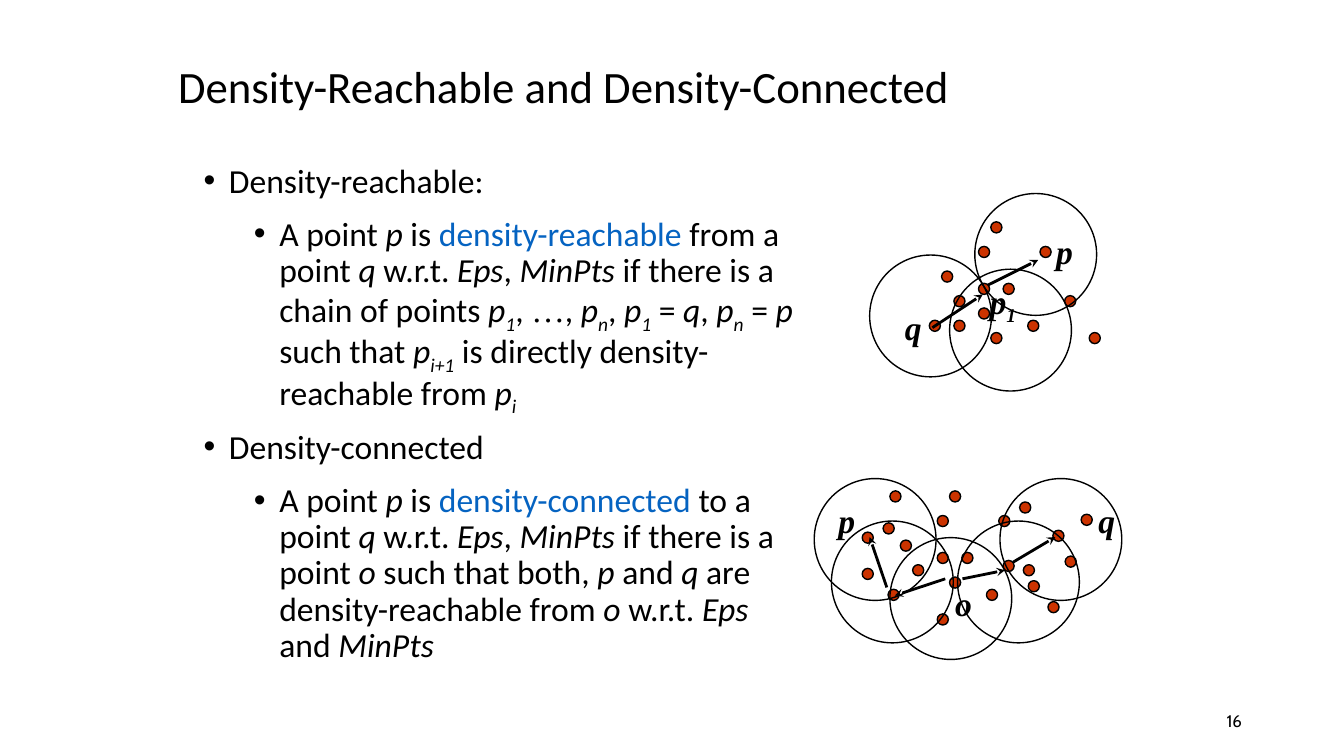
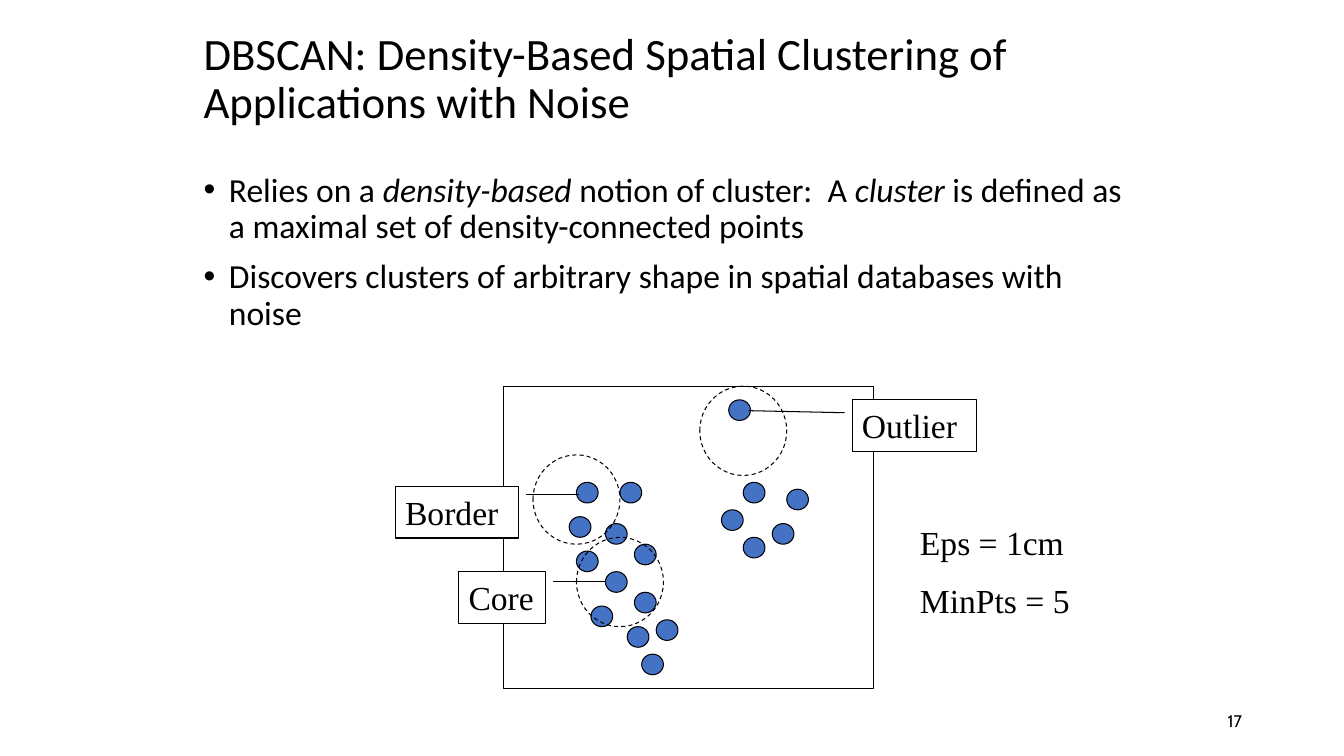
from lxml import etree
from pptx import Presentation
from pptx.dml.color import RGBColor
from pptx.enum.dml import MSO_LINE
from pptx.enum.shapes import MSO_CONNECTOR, MSO_SHAPE
from pptx.enum.text import MSO_ANCHOR, PP_ALIGN
from pptx.oxml.ns import qn
from pptx.util import Cm, Pt

OVAL, RECT, CALLOUT = MSO_SHAPE.OVAL, MSO_SHAPE.RECTANGLE, MSO_SHAPE.LINE_CALLOUT_1
STRAIGHT, DASH = MSO_CONNECTOR.STRAIGHT, MSO_LINE.DASH
TOP, MIDDLE = MSO_ANCHOR.TOP, MSO_ANCHOR.MIDDLE
LEFT, RIGHT = PP_ALIGN.LEFT, PP_ALIGN.RIGHT

COLORS = {"ink": "000000", "paper": "FFFFFF", "term": "0563C1",
          "red": "CC3300", "blue": "4472C4"}
SANS, SERIF, NUMBER_FONT = "Calibri", "Times New Roman", "Cabin"
STEP = 0.31      # grid step of the point diagrams, in cm
NUMBER_BOX = (23.93, 17.65, 7.62, 1.02)

# Run styles
PLAIN, ITALIC, SUB, TERM, DOTS = "plain", "italic", "sub", "term", "dots"


def rgb(name):
    return RGBColor.from_string(COLORS[name])


def style_run(span, size, font, color="ink", bold=False, italic=False, sub=False):
    span.font.size, span.font.name = Pt(size), font
    span.font.bold, span.font.italic = bold, italic
    span.font.color.rgb = rgb(color)
    if sub:
        span._r.get_or_add_rPr().set("baseline", "-25000")


def add_text(page, box, text, size, font, anchor=TOP, align=LEFT, spacing=1.0, before=0):
    """Plain text box; each line of text is one paragraph."""
    frame = page.shapes.add_textbox(*map(Cm, box)).text_frame
    frame.word_wrap, frame.vertical_anchor = True, anchor
    frame.text = text
    for para in frame.paragraphs:
        para.alignment, para.line_spacing = align, spacing
        para.space_before = Pt(before)
        for span in para.runs:
            style_run(span, size, font)
    return frame


def add_shape(page, kind, box, fill=None, width=1.0, dash=None):
    shape = page.shapes.add_shape(kind, *map(Cm, box))
    shape.shadow.inherit = False
    if fill:
        shape.fill.solid()
        shape.fill.fore_color.rgb = rgb(fill)
    else:
        shape.fill.background()
    shape.line.color.rgb, shape.line.width = rgb("ink"), Pt(width)
    if dash:
        shape.line.dash_style = dash
    return shape


def add_arrow(page, start, end):
    arrow = page.shapes.add_connector(STRAIGHT, *map(Cm, start + end))
    arrow.line.color.rgb, arrow.line.width = rgb("ink"), Pt(2)
    line = arrow.line._get_or_add_ln()
    etree.SubElement(line, qn("a:tailEnd"), type="stealth")
    etree.SubElement(arrow._element.spPr, qn("a:effectLst"))


def add_page(deck, title, title_box, number):
    """Blank page with title and page number."""
    page = deck.slides.add_slide(deck.slide_layouts[6])
    add_text(page, title_box, title, 32, SANS, MIDDLE, spacing=0.9)
    add_text(page, NUMBER_BOX, number, 12, NUMBER_FONT, MIDDLE, RIGHT)
    return page


def add_bullets(page, box, items, before):
    """Bulleted list; each item is a level and its (text, style) runs."""
    frame = page.shapes.add_textbox(*map(Cm, box)).text_frame
    frame.word_wrap = True
    for index, (level, runs) in enumerate(items):
        para = frame.add_paragraph() if index else frame.paragraphs[0]
        para.level, para.line_spacing, para.space_before = level, 0.9, Pt(before)
        props = para._p.get_or_add_pPr()
        props.set("marL", str(Cm(0.64 + 1.27 * level)))
        props.set("indent", str(Cm(-0.64)))
        etree.SubElement(props, qn("a:buFont"), typeface="Arial")
        etree.SubElement(props, qn("a:buChar"), char="•")
        for text, style in runs:
            span = para.add_run()
            span.text = text
            style_run(span, 24, SERIF if style == DOTS else SANS,
                      color="term" if style == TERM else "ink",
                      italic=style in (ITALIC, SUB), sub=style == SUB)


def add_point_diagram(page, left, top, points, circles, labels, arrows):
    """Points, neighbourhoods, labels and arrows in grid steps from the corner."""
    def place(x, y):
        return left + x * STEP, top + y * STEP

    for point in points:
        add_shape(page, OVAL, (*place(*point), 0.28, 0.28), "red")
    for circle in circles:
        add_shape(page, OVAL, (*place(*circle), 3.07, 3.07))
    for name, index, x, y in labels:
        frame = add_text(page, (*place(x, y), 1.7 if index else 1.07, 1.3),
                         name, 24, SERIF)
        para = frame.paragraphs[0]
        if index:
            para.add_run().text = index
        for order, span in enumerate(para.runs):
            style_run(span, 24, SERIF, bold=True, italic=True, sub=order > 0)
    for x1, y1, x2, y2 in arrows:
        add_arrow(page, place(x1, y1), place(x2, y2))


def add_cluster_diagram(page, left, top, width, height):
    """Framed clusters on a grid of 51 by 44 cells, with callouts."""
    def cells(x, y, columns, rows):
        return (left + x * width / 51, top + y * height / 44,
                columns * width / 51, rows * height / 44)

    add_shape(page, RECT, (left, top, width, height), width=0.75)
    points = [(10, 14), (9, 19), (14, 20), (16, 14), (18, 23), (10, 24), (14, 27),
              (12, 32), (17, 35), (19, 39), (18, 30), (21, 34), (31, 2), (33, 14),
              (30, 18), (37, 20), (39, 15), (33, 22)]
    for x, y in points:
        add_shape(page, OVAL, cells(x, y, 3, 3), "blue", 0.75)
    for x, y in [(4, 10), (10, 22), (27, 0)]:
        add_shape(page, OVAL, cells(x, y, 12, 13), None, 0.75, DASH)

    # Callouts: text, place, leader line as y1, x1, y2, x2
    callouts = [
        ("Core", (-6.25, 27, 12, 7.5), (0.19, 1.08, 0.19, 1.69)),
        ("Border", (-15, 14.6, 17, 7.5), (0.15, 1.06, 0.15, 1.49)),
        ("Outlier", (48, 2, 17.2, 7.5), (0.25, -0.06, 0.21, -0.83)),
    ]
    for text, place, leader in callouts:
        callout = add_shape(page, CALLOUT, cells(*place), "paper", 0.75)
        for index, value in enumerate(leader):
            callout.adjustments[index] = value
        frame = callout.text_frame
        frame.text, frame.vertical_anchor = text, TOP
        frame.paragraphs[0].alignment = LEFT
        style_run(frame.paragraphs[0].runs[0], 24, SERIF)

    add_text(page, cells(56, 19, 25, 16.3), "Eps = 1cm\nMinPts = 5", 24, SERIF, before=13)


def build_density_page(deck):
    page = add_page(deck, "Density-Reachable and Density-Connected",
                    (4.24, 1.07, 25.4, 2.34), "16")
    # The same condition opens both definitions
    condition = [("q", ITALIC), (" w.r.t. ", PLAIN), ("Eps", ITALIC), (", ", PLAIN),
                 ("MinPts", ITALIC)]
    opening = [("A point ", PLAIN), ("p", ITALIC), (" is ", PLAIN)]
    reachable = opening + [("density-reachable", TERM), (" from a point ", PLAIN)] + condition + [
        (" if there is a chain of points ", PLAIN), ("p", ITALIC), ("1", SUB),
        (", ", PLAIN), ("…", DOTS), (", ", PLAIN), ("p", ITALIC), ("n", SUB),
        (", ", PLAIN), ("p", ITALIC), ("1", SUB), (" = ", PLAIN), ("q", ITALIC),
        (", ", PLAIN), ("p", ITALIC), ("n", SUB), (" = ", PLAIN), ("p", ITALIC),
        (" such that ", PLAIN), ("p", ITALIC), ("i+1", SUB),
        (" is directly density-reachable from ", PLAIN), ("p", ITALIC), ("i", SUB)]
    connected = opening + [("density-connected", TERM), (" to a point ", PLAIN)] + condition + [
        (" if there is a point ", PLAIN), ("o ", ITALIC), ("such that both, ", PLAIN),
        ("p", ITALIC), (" and ", PLAIN), ("q", ITALIC),
        (" are density-reachable from ", PLAIN), ("o", ITALIC), (" w.r.t. ", PLAIN),
        ("Eps", ITALIC), (" and ", PLAIN), ("MinPts", ITALIC)]
    add_bullets(page, (4.88, 4.01, 15.67, 13.97), [
        (0, [("Density-reachable:", PLAIN)]), (1, reachable),
        (0, [("Density-connected", PLAIN)]), (1, connected)], before=12)

    # Density-reachable
    add_point_diagram(
        page, 21.87, 4.66,
        points=[(6, 7), (9, 8), (9, 5), (5, 11), (7, 9), (7, 11), (10, 12), (10, 3),
                (16, 9), (14, 5), (9, 10), (11, 8), (13, 11), (18, 12)],
        circles=[(6.65, 6.85), (0.15, 5.7), (8.7, 0.7)],
        labels=[("p", "", 14.5, 3.3), ("q", "", 2.2, 9.5), ("p", "1", 9.1, 7.4)],
        arrows=[(9.75, 8.15, 13.85, 6.1), (5.25, 11.6, 9.35, 8.9)])
    # Density-connected
    add_point_diagram(
        page, 20.52, 12.06,
        points=[(7, 5), (10, 6), (10, 3), (6, 9), (8, 7), (10, 11), (11, 8), (11, 1),
                (17, 7), (15, 3), (3.9, 7.3), (12, 6), (14, 9), (19, 10), (20.4, 6.3),
                (15.35, 6.65), (17.4, 8.3), (21.7, 2.9), (16.7, 1.9), (19.4, 4.2),
                (5.6, 3.6), (3.9, 4.35), (6.15, 1)],
        circles=[(0, 0), (1.4, 3.45), (6.15, 4.8), (11.65, 3.45), (15.1, 0)],
        labels=[("p", "", 1.15, 1.3), ("q", "", 22.3, 1.3), ("o", "", 10.65, 8.1)],
        arrows=[(10.65, 8.15, 6.55, 9.5), (12.05, 8.15, 15.5, 7.45),
                (5.9, 8.85, 4.5, 4.75), (16.15, 6.8, 19.6, 4.75)])


def build_dbscan_page(deck):
    page = add_page(
        deck, "DBSCAN: Density-Based Spatial Clustering of Applications with Noise",
        (4.88, 0.64, 23.7, 2.74), "17")
    add_bullets(page, (4.88, 4.24, 23.7, 13.97), [
        (0, [("Relies on a ", PLAIN), ("density-based", ITALIC),
             (" notion of cluster:  A ", PLAIN), ("cluster", ITALIC),
             (" is defined as a maximal set of density-connected points", PLAIN)]),
        (0, [("Discovers clusters of arbitrary shape in spatial databases with noise",
              PLAIN)])], before=10)
    add_cluster_diagram(page, 12.7, 9.73, 9.32, 7.62)


def main():
    deck = Presentation()
    deck.slide_width, deck.slide_height = Cm(33.87), Cm(19.05)
    build_density_page(deck)
    build_dbscan_page(deck)
    deck.save("out.pptx")


if __name__ == "__main__":
    main()
